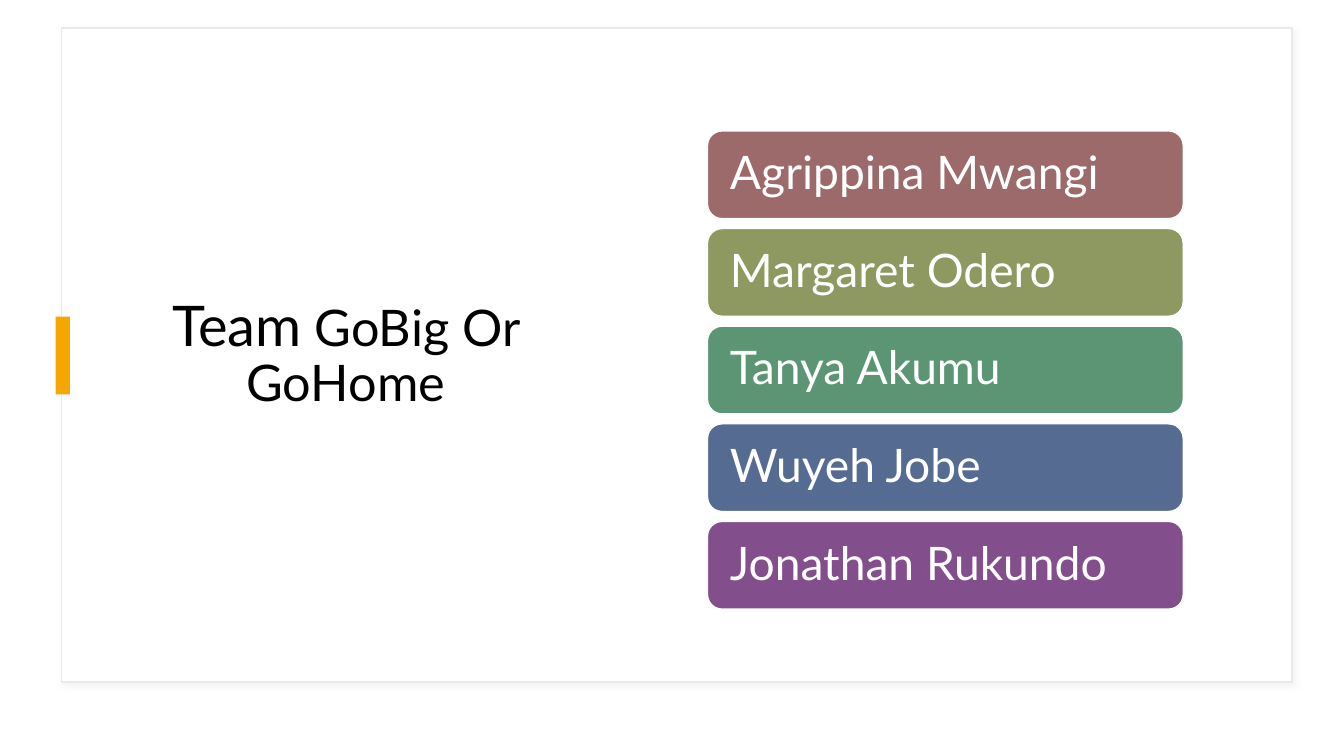
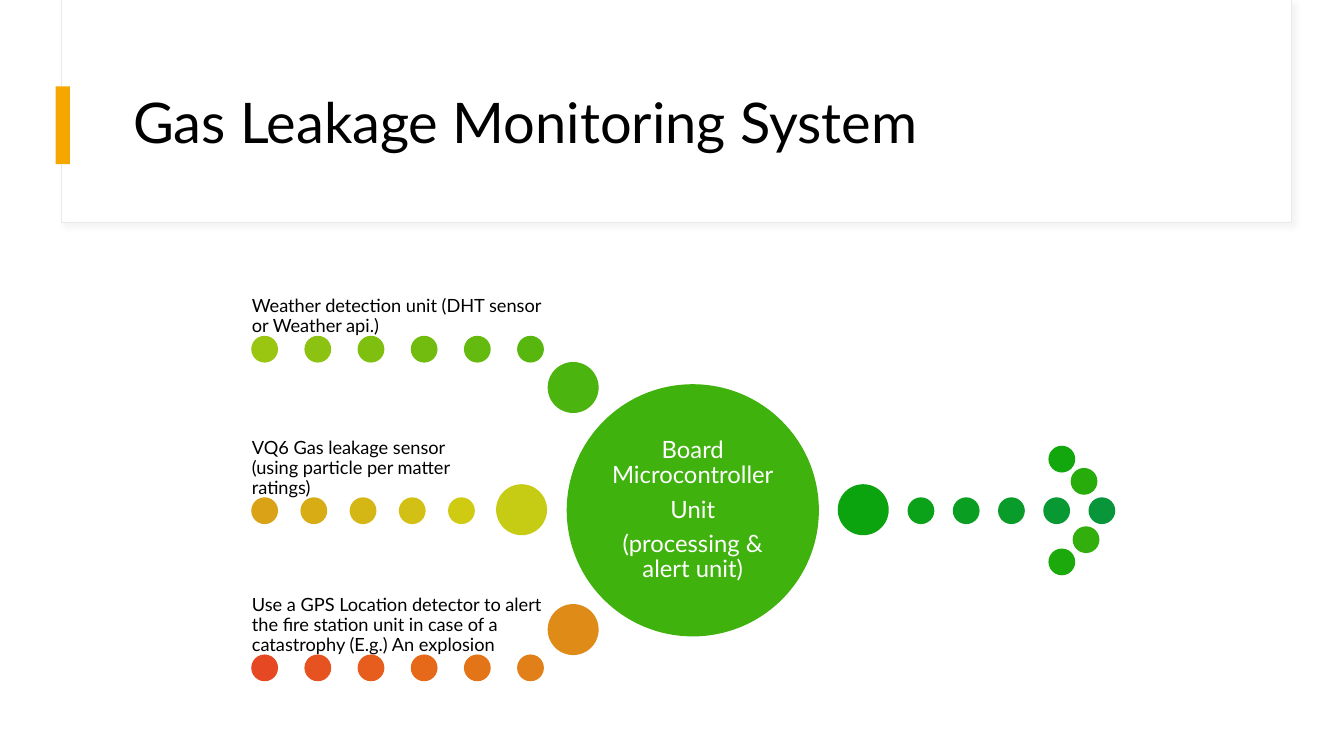
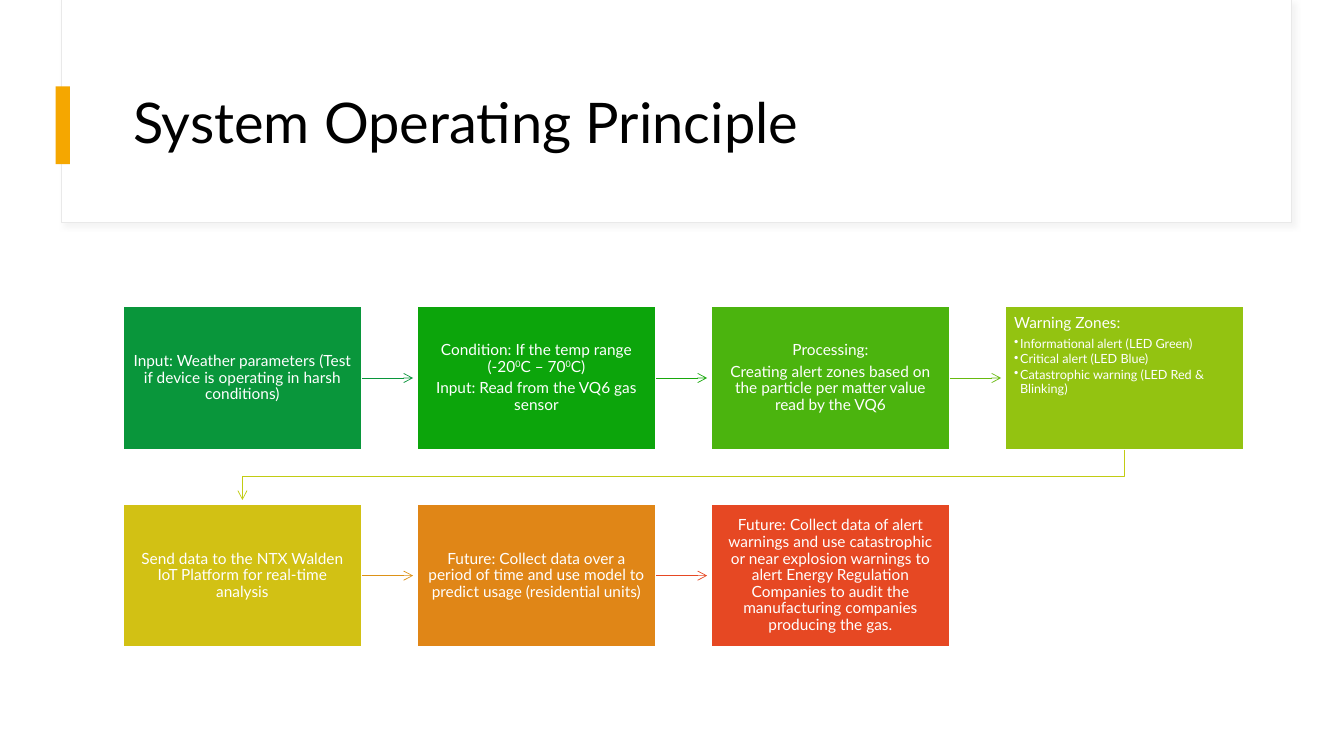
from lxml.etree import SubElement
from pptx import Presentation
from pptx.dml.color import RGBColor
from pptx.enum.shapes import MSO_CONNECTOR as LINK, MSO_SHAPE as SHAPE
from pptx.enum.text import MSO_ANCHOR as ANCHOR, MSO_AUTO_SIZE as FIT, PP_ALIGN as ALIGN
from pptx.oxml.ns import qn
from pptx.util import Cm, Pt

# Shared look
FONT = "Lato"
COLORS = {"paper": "FFFFFF", "ink": "000000", "accent": "F5A700",
          "edge": "E9E9E9", "shade": "D9D9D9", "hub": "3FB20D"}
TITLE_SIZE = 40
FRAME_LEFT, FRAME_WIDTH = 1.55, 31.01
HEADER = {"frame": (FRAME_LEFT, 0, FRAME_WIDTH, 5.61), "edge_width": 0.75,
          "bar": (1.4, 2.18, 0.36, 1.96),
          "title": (3.1, 1.52, 28.24, 3.28), "align": ALIGN.LEFT}
SIDE = {"frame": (FRAME_LEFT, 0.71, FRAME_WIDTH, 16.48), "edge_width": 1,
        "bar": (1.4, 7.98, 0.36, 1.96),
        "title": (2.9, 1.4, 11.63, 15.11), "align": ALIGN.CENTER}

# Content: team
TEAM_TITLE = [("Team", {}), (" GoBig Or GoHome", {"size": 36})]
TEAM = [("Agrippina Mwangi", "9C6A6A"), ("Margaret Odero", "8E9962"),
        ("Tanya Akumu", "5B9574"), ("Wuyeh Jobe", "556B91"),
        ("Jonathan Rukundo", "824F8C")]

# Content: monitoring system
SYSTEM_TITLE = "Gas Leakage Monitoring System"
HUB = ["Board Microcontroller", "Unit", "(processing & alert unit)"]
SENSORS = [
    {"label": "Weather detection unit (DHT sensor or Weather api.)",
     "width": 7.32, "top": 8.48, "pitch": 1.34, "end": (13.82, 9.14, "4BB40E"),
     "dots": ["9AC511", "8CC211", "7EBF10", "71BC0F", "64BA0F", "57B70E"]},
    {"label": "VQ6 Gas leakage sensor (using particle per matter ratings)",
     "width": 5.54, "top": 12.55, "pitch": 1.24, "end": (12.52, 12.22, "C5CC13"),
     "dots": ["DAA216", "D7AC15", "D4B715", "D2C114", "CFCB13"]},
    {"label": "Use a GPS Location detector to alert the fire station unit "
              "in case of a catastrophy (E.g.) An explosion",
     "width": 7.32, "top": 16.51, "pitch": 1.34, "end": (13.82, 15.24, "DF8B17"),
     "dots": ["E64823", "E65220", "E65D1D", "E66819", "E47418", "E18018"]},
]
OUTPUT_DOTS = ["0BA119", "0A9E22", "0A9C2A", "099933", "09963B"]
OUTPUT_START = (21.13, 12.22, "0BA40F")
ARROWHEAD_DOTS = [(26.44, 11.25, "12A70C"), (26.44, 13.84, "1CA90C"),
                  (27.0, 11.81, "28AC0C"), (27.05, 13.28, "33AF0D")]

# Content: operating principle, each step with its box and outgoing arrow colours
PRINCIPLE_TITLE = "System Operating Principle"
RAISED_ZERO = ("0", {"raised": True})
STEPS = [
    ("09963B", "09963B", ["Input: Weather parameters (Test if device is operating "
                          "in harsh conditions)"]),
    ("0CA50B", "18A80C", [[("Condition: If the temp range (-20", {}), RAISED_ZERO,
                           ("C – 70", {}), RAISED_ZERO, ("C)", {})],
                          "Input: Read from the VQ6 gas sensor"]),
    ("4BB40E", "67BA0F", ["Processing:", "Creating alert zones based on the particle "
                          "per matter value read by the VQ6"]),
    ("93C311", "C2CC13", ["Warning Zones:"]),
    ("D2C114", "DD9217", ["Send data to the NTX Walden IoT Platform for real-time "
                          "analysis"]),
    ("E08617", "E64823", ["Future: Collect data over a period of time and use model "
                          "to predict usage (residential units)"]),
    ("E64823", None, ["Future: Collect data of alert warnings and use catastrophic or "
                      "near explosion warnings to alert Energy Regulation Companies to "
                      "audit the manufacturing companies producing the gas."]),
]
WARNING_STEP = 3
WARNINGS = ["Informational alert (LED Green)", "Critical alert (LED Blue)",
            "Catastrophic warning (LED Red & Blinking)"]


def rgb(color):
    return RGBColor.from_string(COLORS.get(color, color))


def assign(target, values):
    for name, value in values.items():
        setattr(target, name, value)


def place(shape, box):
    assign(shape, dict(zip(("left", "top", "width", "height"), map(Cm, box))))


def set_frame(frame, anchor=ANCHOR.MIDDLE, inset=None):
    assign(frame, {"word_wrap": True, "auto_size": FIT.NONE, "vertical_anchor": anchor})
    if inset is not None:
        sides = ("left", "top", "right", "bottom")
        assign(frame, {f"margin_{side}": Cm(inset) for side in sides})


def write(frame, paragraphs, size, color="paper", align=ALIGN.LEFT, after=0.35,
          bullet=False, extend=False):
    """Fill a text frame; a paragraph is a string or a list of (text, format) runs."""
    for index, content in enumerate(paragraphs):
        fresh = index > 0 or extend
        para = frame.add_paragraph() if fresh else frame.paragraphs[0]
        assign(para, {"alignment": align, "line_spacing": 0.9, "space_before": Pt(0),
                      "space_after": Pt(size * after)})
        if bullet:
            props = para._p.get_or_add_pPr()
            props.set("marL", str(Cm(0.15)))
            props.set("indent", str(-Cm(0.15)))
            SubElement(props, qn("a:buChar")).set("char", "•")
        runs = [(content, {})] if isinstance(content, str) else content
        for text, look in runs:
            run = para.add_run()
            run.text = text
            assign(run.font, {"name": FONT, "size": Pt(look.get("size", size))})
            run.font.color.rgb = rgb(color)
            if look.get("raised"):
                run._r.get_or_add_rPr().set("baseline", "30000")


def add_block(slide, kind, box, fill, line=None, line_width=1):
    block = slide.shapes.add_shape(kind, *map(Cm, box))
    block.shadow.inherit = False
    block.fill.solid()
    block.fill.fore_color.rgb = rgb(fill)
    if line:
        block.line.color.rgb = rgb(line)
        block.line.width = Pt(line_width)
    else:
        block.line.fill.background()
    return block


def add_soft_shadow(block):
    effects = block._element.spPr.find(qn("a:effectLst"))
    shadow = SubElement(effects, qn("a:outerShdw"))
    for name, value in {"blurRad": Pt(4), "dist": Pt(3), "dir": 45 * 60000}.items():
        shadow.set(name, str(value))
    shade = SubElement(shadow, qn("a:srgbClr"))
    shade.set("val", COLORS["shade"])
    SubElement(shade, qn("a:alpha")).set("val", "30000")


def start_slide(deck, title, look):
    """Add a slide with its frame, accent bar and title."""
    slide = deck.slides.add_slide(deck.slide_layouts[5])
    add_soft_shadow(add_block(slide, SHAPE.RECTANGLE, look["frame"], "paper", "edge",
                              look["edge_width"]))
    add_block(slide, SHAPE.RECTANGLE, look["bar"], "accent")
    heading = slide.shapes.title
    place(heading, look["title"])
    set_frame(heading.text_frame)
    write(heading.text_frame, [title], TITLE_SIZE, "ink", look["align"], after=0)
    slide.shapes._spTree.append(heading._element)  # bring the title above the frame
    return slide


def finish_arrow(arrow, color):
    arrow.line.color.rgb = rgb(color)
    arrow.line.width = Pt(0.5)
    SubElement(arrow.line._get_or_add_ln(), qn("a:tailEnd")).set("type", "arrow")


def build_team(deck):
    slide = start_slide(deck, TEAM_TITLE, SIDE)
    top, height, pitch = 3.3, 2.21, 2.46
    for row, (member, color) in enumerate(TEAM):
        card = add_block(slide, SHAPE.ROUNDED_RECTANGLE,
                         (17.83, top + row * pitch, 11.99, height), color, "paper")
        set_frame(card.text_frame, inset=0.46)
        write(card.text_frame, [member], 33)


def build_system(deck):
    slide = start_slide(deck, SYSTEM_TITLE, HEADER)
    small, large, label_height, left = 0.64, 1.25, 1.6, 6.35

    def add_dot(x, y, color, size=small):
        return add_block(slide, SHAPE.OVAL, (x, y, size, size), color, color)

    def add_dot_row(x, y, pitch, colors):
        for index, color in enumerate(colors):
            add_dot(x + index * pitch, y, color)

    # Output arrow
    add_dot(*OUTPUT_START, large)
    add_dot_row(22.89, 12.55, 1.14, OUTPUT_DOTS)
    for dot in ARROWHEAD_DOTS:
        add_dot(*dot)

    # Hub
    hub = add_dot(14.3, 9.7, "hub", 6.32)
    set_frame(hub.text_frame, inset=0.05)
    write(hub.text_frame, HUB, 17, align=ALIGN.CENTER)

    # Sensors
    for sensor in SENSORS:
        add_dot(*sensor["end"], large)
        add_dot_row(left, sensor["top"], sensor["pitch"], sensor["dots"])
        box = (left, sensor["top"] - label_height, sensor["width"], label_height)
        label = slide.shapes.add_textbox(*map(Cm, box)).text_frame
        set_frame(label, ANCHOR.BOTTOM, 0)
        write(label, [sensor["label"]], 13, "ink")


def build_principle(deck):
    slide = start_slide(deck, PRINCIPLE_TITLE, HEADER)
    left, top, width, height = 3.1, 7.72, 6.02, 3.61
    pitch_x, pitch_y, per_row, gap = 7.41, 4.98, 4, 0.1

    # Step boxes
    boxes = []
    for index, (color, _, lines) in enumerate(STEPS):
        row, column = divmod(index, per_row)
        box = add_block(slide, SHAPE.RECTANGLE,
                        (left + column * pitch_x, top + row * pitch_y, width, height),
                        color, "paper")
        is_warning = index == WARNING_STEP
        set_frame(box.text_frame, ANCHOR.TOP if is_warning else ANCHOR.MIDDLE, 0.23)
        write(box.text_frame, lines, 11,
              align=ALIGN.LEFT if is_warning else ALIGN.CENTER)
        if is_warning:
            write(box.text_frame, WARNINGS, 9, after=0.15, bullet=True, extend=True)
        boxes.append(box)

    # Arrows to the next step
    for (_, color, _), box, following in zip(STEPS, boxes, boxes[1:]):
        if box.top == following.top:
            middle = box.top + box.height // 2
            arrow = slide.shapes.add_connector(LINK.STRAIGHT, box.left + box.width, middle,
                                               following.left - Cm(gap), middle)
            arrow.begin_connect(box, 3)
            finish_arrow(arrow, color)
            SubElement(arrow._element.spPr, qn("a:effectLst"))
        else:
            start_x = box.left + box.width // 2
            end_x = following.left + following.width // 2
            bottom = box.top + box.height
            turn = (bottom + following.top) // 2
            path_builder = slide.shapes.build_freeform(start_x, bottom)
            path_builder.add_line_segments(
                [(start_x, turn), (end_x, turn), (end_x, following.top - Cm(gap))],
                close=False)
            arrow = path_builder.convert_to_shape()
            arrow.shadow.inherit = False
            arrow.fill.background()
            finish_arrow(arrow, color)


def main():
    deck = Presentation()
    assign(deck, {"slide_width": Cm(33.87), "slide_height": Cm(19.05)})
    build_team(deck)
    build_system(deck)
    build_principle(deck)
    deck.save("out.pptx")


if __name__ == "__main__":
    main()
